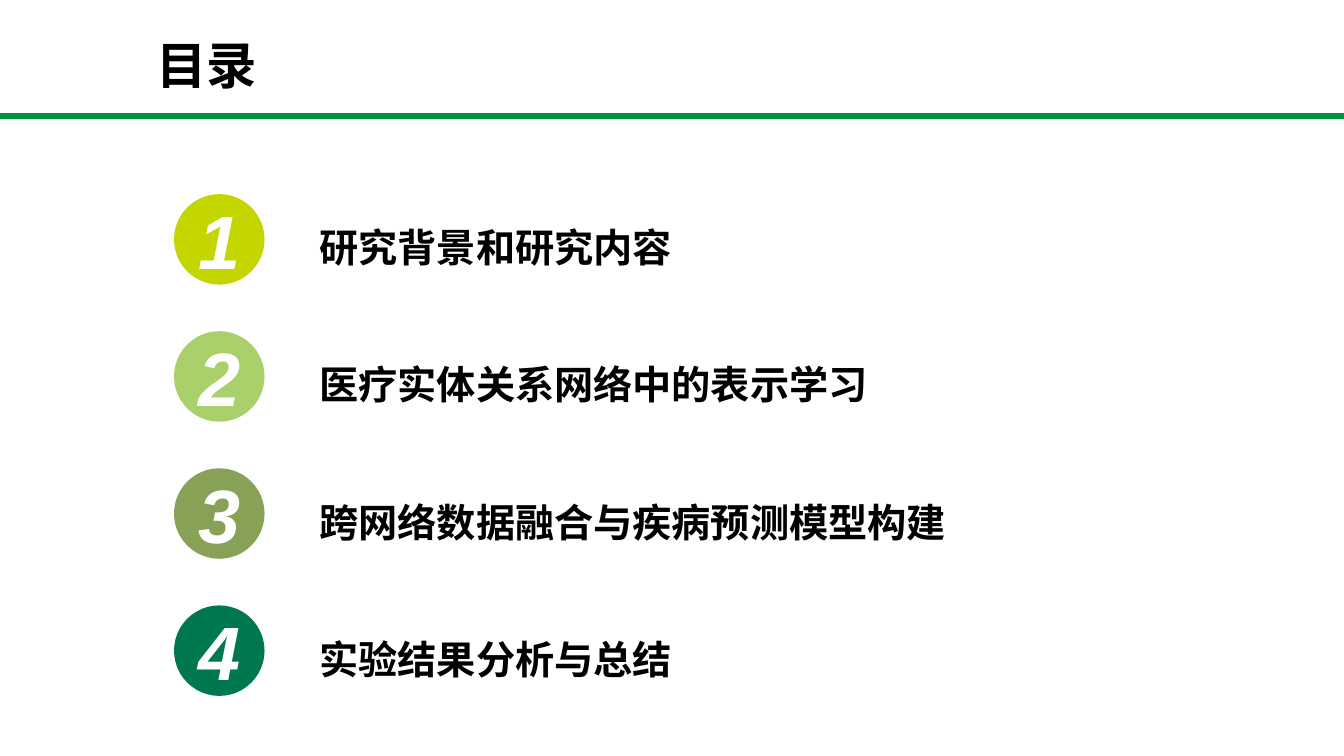
from dataclasses import dataclass
from lxml import etree
from pptx import Presentation, util as u
from pptx.dml.color import RGBColor
from pptx.enum import shapes, text
from pptx.oxml.ns import qn

# Content: label and badge colour
TITLE = "目录"
TOPICS = [
    ("研究背景和研究内容", "C3D600"),
    ("医疗实体关系网络中的表示学习", "AAD06B"),
    ("跨网络数据融合与疾病预测模型构建", "87A157"),
    ("实验结果分析与总结", "00784F"),
]


@dataclass(frozen=True)
class Theme:
    ink: str = "000000"
    paper: str = "FFFFFF"
    rule: str = "009241"
    head: str = "Arial"
    body: str = "Calibri"
    title: int = 36
    digit: int = 54
    label: int = 28


T = Theme()

# Grid, in inches
WIDE, HIGH = 13.33, 7.5
RULE_Y = 1.15
TOP, STEP = 1.94, 1.36
BADGE_X, BADGE = 1.74, 0.87
LABEL_X, LABEL_H, DROP = 3.07, 0.57, 0.23
INSET = 0.1


def rgb(code):
    return RGBColor.from_string(code)


def write(frame, words, face, size, color, italic=None):
    par = frame.paragraphs[0]
    par.text = words
    font = par.font
    font.name, font.size = face, u.Pt(size)
    font.bold, font.italic = True, italic
    font.color.rgb = rgb(color)
    return par


def add_text(slide, box, words, face, size):
    frame = slide.shapes.add_textbox(*map(u.Inches, box)).text_frame
    write(frame, words, face, size, T.ink)
    return frame


def add_badge(slide, top, digit, color):
    box = map(u.Inches, (BADGE_X, top, BADGE, BADGE))
    badge = slide.shapes.add_shape(shapes.MSO_SHAPE.OVAL, *box)
    badge.shadow.inherit = False
    badge.fill.solid()
    badge.fill.fore_color.rgb = badge.line.color.rgb = rgb(color)
    badge.line.width = u.Pt(2)
    frame = badge.text_frame
    frame.vertical_anchor = text.MSO_ANCHOR.MIDDLE
    par = write(frame, digit, T.head, T.digit, T.paper, True)
    par.alignment = text.PP_ALIGN.CENTER


def main():
    deck = Presentation()
    deck.slide_width, deck.slide_height = u.Inches(WIDE), u.Inches(HIGH)
    slide = deck.slides.add_slide(deck.slide_layouts[6])

    # Header: rule and title
    y = u.Inches(RULE_Y)
    rule = slide.shapes.add_connector(
        shapes.MSO_CONNECTOR.STRAIGHT, 0, y, deck.slide_width, y)
    rule.line.color.rgb, rule.line.width = rgb(T.rule), u.Pt(4.5)
    etree.SubElement(rule.line._get_or_add_ln().getparent(), qn("a:effectLst"))
    head = add_text(slide, (1.45, 0.29, 8.36, 0.69), TITLE, T.head, T.title)
    head.word_wrap = True
    head.vertical_anchor = text.MSO_ANCHOR.MIDDLE

    # Topics: one numbered row each
    for i, (label, color) in enumerate(TOPICS):
        top = TOP + i * STEP
        add_badge(slide, top, str(i + 1), color)
        wide = len(label) * T.label / 72 + 2 * INSET
        frame = add_text(slide, (LABEL_X, top + DROP, wide, LABEL_H),
                         label, T.body, T.label)
        frame.word_wrap = False
        frame.auto_size = text.MSO_AUTO_SIZE.SHAPE_TO_FIT_TEXT

    deck.save("out.pptx")


if __name__ == "__main__":
    main()
